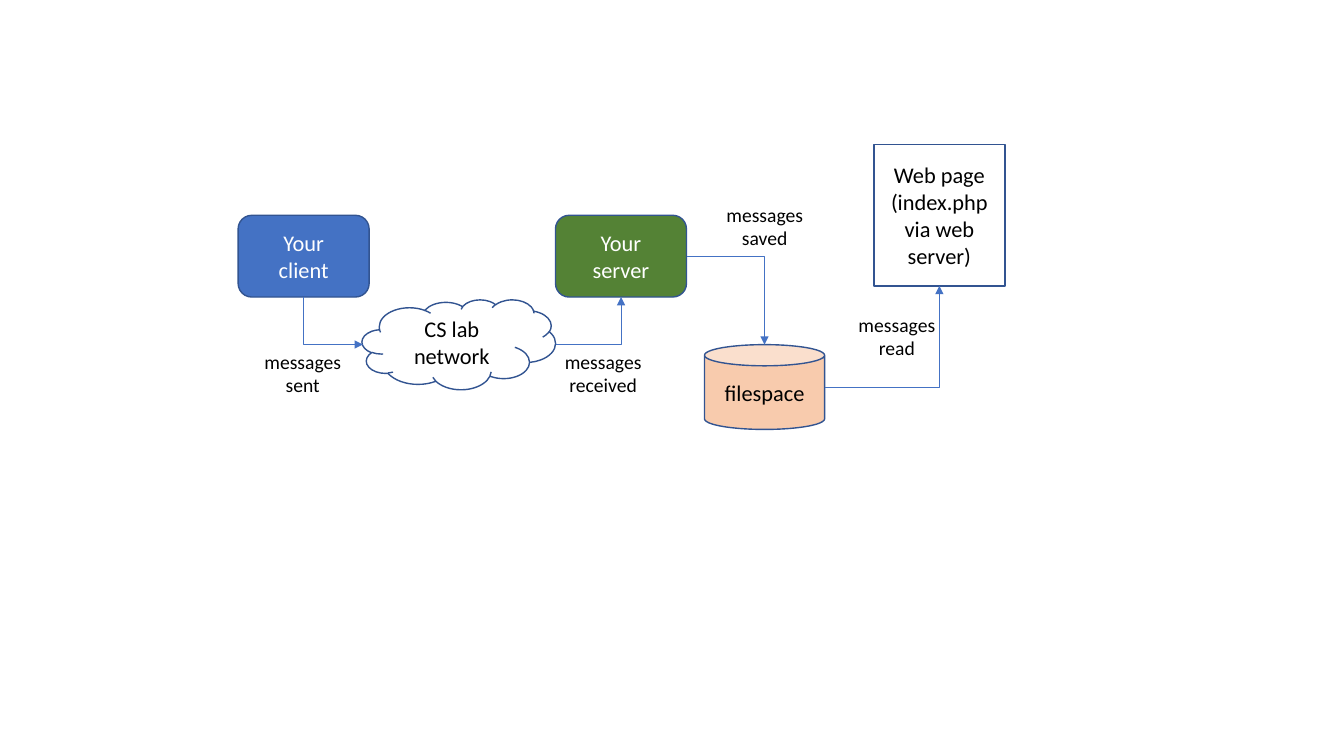
from dataclasses import dataclass

from lxml.etree import SubElement
from pptx import Presentation
from pptx.dml.color import RGBColor as RGB
from pptx.enum.shapes import MSO_CONNECTOR as CONNECTOR, MSO_SHAPE as SHAPE
from pptx.enum.text import MSO_ANCHOR as ANCHOR, MSO_AUTO_SIZE as AUTO, PP_ALIGN as ALIGN
from pptx.oxml.ns import qn
from pptx.util import Pt


@dataclass(frozen=True)
class Theme:
    font: str = "Calibri"
    node_size: float = 16
    label_size: float = 14
    white: str = "FFFFFF"
    black: str = "000000"
    blue: str = "4472C4"
    green: str = "548235"
    peach: str = "F8CBAD"
    outline: str = "325491"
    outline_width: float = 1
    arrow_width: float = 0.5


THEME = Theme()


@dataclass(frozen=True)
class Node:
    text: str
    kind: SHAPE
    left: float
    top: float
    width: float
    height: float
    fill: str = THEME.white
    color: str = THEME.black

    @property
    def center_x(self) -> float:
        return self.left + self.width / 2

    @property
    def center_y(self) -> float:
        return self.top + self.height / 2

    @property
    def right(self) -> float:
        return self.left + self.width

    @property
    def bottom(self) -> float:
        return self.top + self.height


@dataclass(frozen=True)
class Arrow:
    start: tuple[float, float]
    end: tuple[float, float]
    down_first: bool = False


@dataclass(frozen=True)
class Label:
    text: str
    left: float
    top: float


LABEL_WIDTH, LABEL_HEIGHT = 69.8, 41.2

# Parts of the message system
CLIENT = Node("Your\nclient", SHAPE.ROUNDED_RECTANGLE, 170.1, 153.8, 93.6, 58.4,
              THEME.blue, THEME.white)
SERVER = Node("Your\nserver", SHAPE.ROUNDED_RECTANGLE, 396.8, 153.8, 93.6, 58.4,
              THEME.green, THEME.white)
NETWORK = Node("CS lab\nnetwork", SHAPE.CLOUD, 258.6, 214, 138.2, 64.2)
FILESPACE = Node("filespace", SHAPE.CAN, 503.2, 246.2, 85.8, 60.6, THEME.peach)
WEB_PAGE = Node("Web page\n(index.php\nvia web server)", SHAPE.RECTANGLE,
                624.2, 103.2, 93.6, 101)
NODES = [CLIENT, SERVER, NETWORK, FILESPACE, WEB_PAGE]

# Message flow between the parts
ARROWS = [
    Arrow((CLIENT.center_x, CLIENT.bottom), (NETWORK.left + 0.6, NETWORK.center_y), True),
    Arrow((NETWORK.right, NETWORK.center_y), (SERVER.center_x, SERVER.bottom)),
    Arrow((SERVER.right, SERVER.center_y), (FILESPACE.center_x, FILESPACE.top)),
    Arrow((FILESPACE.right, FILESPACE.center_y), (WEB_PAGE.center_x, WEB_PAGE.bottom)),
]
LABELS = [
    Label("messages\nsent", 181.4, 246.2),
    Label("messages\nreceived", 396, 246.2),
    Label("messages\nsaved", 511.4, 141.2),
    Label("messages\nread", 605.8, 219.6),
]


def write_text(tf, text: str, *, size: float, color: str = THEME.black,
               wrap: bool = True, anchor: ANCHOR = ANCHOR.MIDDLE) -> None:
    """Fill a text frame with one centred paragraph per line."""
    tf.word_wrap = wrap
    tf.vertical_anchor = anchor
    for i, line in enumerate(text.split("\n")):
        p = tf.add_paragraph() if i else tf.paragraphs[0]
        p.alignment = ALIGN.CENTER
        r = p.add_run()
        r.text = line
        r.font.name = THEME.font
        r.font.size = Pt(size)
        r.font.color.rgb = RGB.from_string(color)


def draw_node(shapes, node: Node) -> None:
    sp = shapes.add_shape(node.kind, Pt(node.left), Pt(node.top),
                          Pt(node.width), Pt(node.height))
    sp.shadow.inherit = False
    sp.fill.solid()
    sp.fill.fore_color.rgb = RGB.from_string(node.fill)
    sp.line.color.rgb = RGB.from_string(THEME.outline)
    sp.line.width = Pt(THEME.outline_width)
    write_text(sp.text_frame, node.text, size=THEME.node_size, color=node.color)


def draw_arrow(shapes, arrow: Arrow) -> None:
    (x1, y1), (x2, y2) = arrow.start, arrow.end
    if arrow.down_first:
        # Ends before the quarter turn that makes the first leg vertical
        cx, cy, dx, dy = (x1 + x2) / 2, (y1 + y2) / 2, (x2 - x1) / 2, (y2 - y1) / 2
        x1, y1, x2, y2 = cx + dy, cy - dx, cx - dy, cy + dx
    cxn = shapes.add_connector(CONNECTOR.ELBOW, Pt(x1), Pt(y1), Pt(x2), Pt(y2))
    cxn.line.color.rgb = RGB.from_string(THEME.blue)
    cxn.line.width = Pt(THEME.arrow_width)

    # Single bend, arrowhead and no shadow
    sp_pr = cxn._element.spPr
    sp_pr.find(qn("a:prstGeom")).set("prst", "bentConnector2")
    if arrow.down_first:
        sp_pr.find(qn("a:xfrm")).set("rot", "16200000")
    SubElement(sp_pr.find(qn("a:ln")), qn("a:tailEnd"), type="triangle")
    SubElement(sp_pr, qn("a:effectLst"))


def draw_label(shapes, label: Label) -> None:
    sp = shapes.add_textbox(Pt(label.left), Pt(label.top),
                            Pt(LABEL_WIDTH), Pt(LABEL_HEIGHT))
    write_text(sp.text_frame, label.text, size=THEME.label_size,
               wrap=False, anchor=ANCHOR.TOP)
    sp.text_frame.auto_size = AUTO.SHAPE_TO_FIT_TEXT


def main() -> None:
    prs = Presentation()
    prs.slide_width, prs.slide_height = Pt(960), Pt(540)
    shapes = prs.slides.add_slide(prs.slide_layouts[6]).shapes
    for node in NODES:
        draw_node(shapes, node)
    for arrow in ARROWS:
        draw_arrow(shapes, arrow)
    for label in LABELS:
        draw_label(shapes, label)
    prs.save("out.pptx")


if __name__ == "__main__":
    main()
